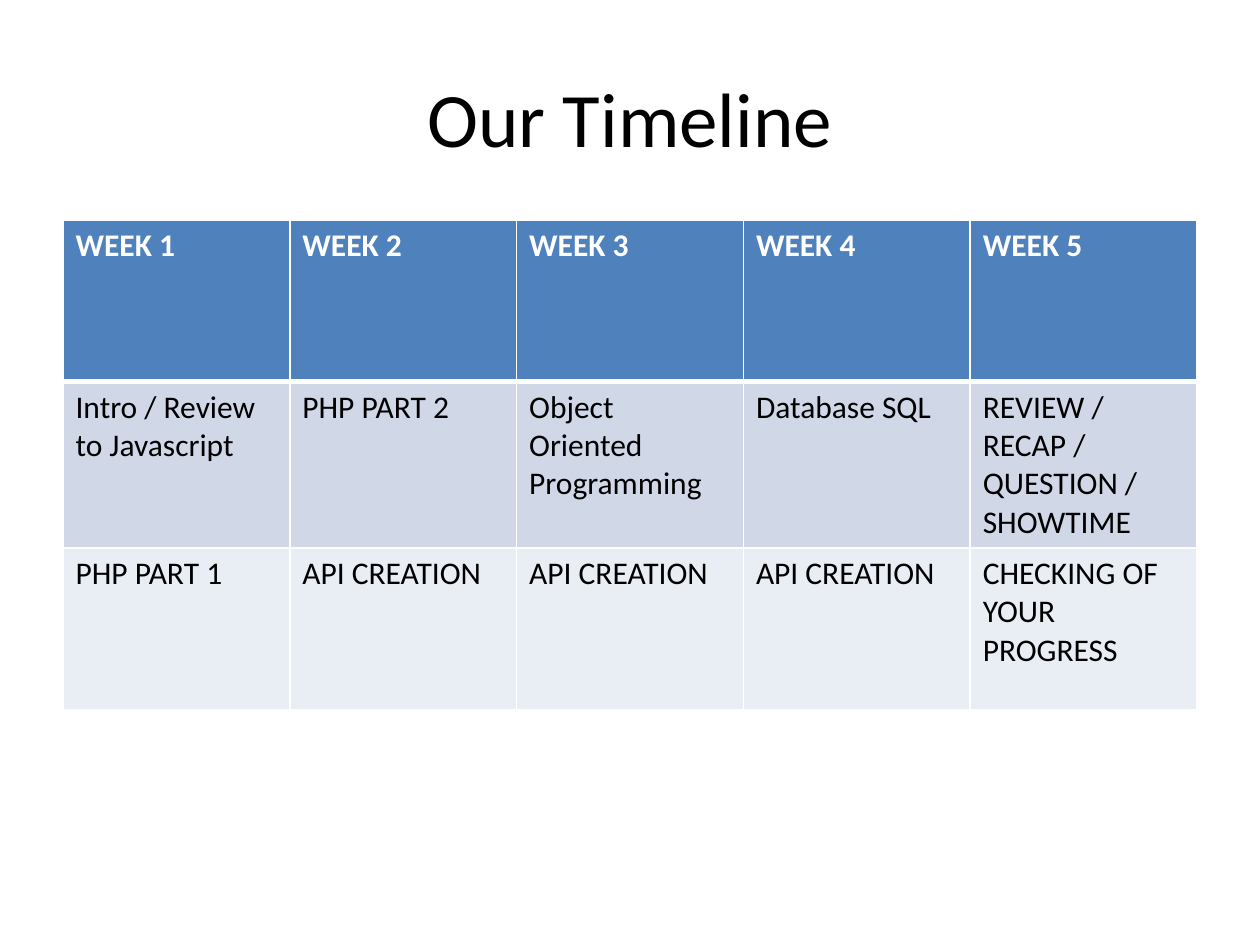
from lxml import etree
from pptx import Presentation
from pptx.dml.color import RGBColor
from pptx.enum import text
from pptx.oxml import ns
from pptx.util import Inches, Pt

TITLE = "Our Timeline"
ROWS = [
    ["WEEK 1", "WEEK 2", "WEEK 3", "WEEK 4", "WEEK 5"],
    ["Intro / Review to Javascript", "PHP PART 2",
     "Object Oriented Programming", "Database SQL",
     "REVIEW / RECAP / QUESTION / SHOWTIME"],
    ["PHP PART 1", "API CREATION", "API CREATION", "API CREATION",
     "CHECKING OF YOUR PROGRESS"],
]
FILLS = ["4F81BD", "D0D8E8", "E9EDF4"]
HEAD = {"name": "Calibri", "size": Pt(18), "bold": True}
BODY = {**HEAD, "bold": False}
LEFT, TOP, WIDTH, ROW_H = 0.5, 1.75, 9, 1.28


def color(code):
    return RGBColor.from_string(code)


def style(font, look, code):
    for key, value in look.items():
        setattr(font, key, value)
    font.color.rgb = color(code)


def border(cell, side, width, code="FFFFFF"):
    props = cell._tc.get_or_add_tcPr()
    line = etree.SubElement(props, ns.qn(f"a:ln{side}"), w=str(Pt(width)))
    fill = etree.SubElement(line, ns.qn("a:solidFill"))
    etree.SubElement(fill, ns.qn("a:srgbClr"), val=code)


def add_title(slide):
    title = slide.shapes.title
    title.left, title.top = Inches(LEFT), Inches(0.3)
    title.width, title.height = Inches(WIDTH), Inches(1.25)
    frame = title.text_frame
    frame.text = TITLE
    frame.vertical_anchor = text.MSO_ANCHOR.MIDDLE
    para = frame.paragraphs[0]
    para.alignment = text.PP_ALIGN.CENTER
    style(para.runs[0].font, {"name": "Calibri", "size": Pt(44)}, "000000")


def add_weeks(slide):
    count = len(ROWS[0])
    table = slide.shapes.add_table(
        len(ROWS), count, Inches(LEFT), Inches(TOP),
        Inches(WIDTH), Inches(ROW_H * len(ROWS))).table
    for col in table.columns:
        col.width = Inches(WIDTH / count)
    for r, (row, fill) in enumerate(zip(ROWS, FILLS)):
        table.rows[r].height = Inches(ROW_H)
        look, ink = (BODY, "000000") if r else (HEAD, "FFFFFF")
        # The rule under the header row is heavier than the rest
        widths = {"L": 1, "R": 1, "T": 3 if r == 1 else 1,
                  "B": 1 if r else 3}
        for c, words in enumerate(row):
            cell = table.cell(r, c)
            cell.text = words
            style(cell.text_frame.paragraphs[0].runs[0].font, look, ink)
            for side, width in widths.items():
                border(cell, side, width)
            cell.fill.solid()
            cell.fill.fore_color.rgb = color(fill)


def main():
    deck = Presentation()
    deck.slide_width, deck.slide_height = Inches(10), Inches(7.5)
    slide = deck.slides.add_slide(deck.slide_layouts[5])
    add_title(slide)
    add_weeks(slide)
    deck.save("out.pptx")


if __name__ == "__main__":
    main()
